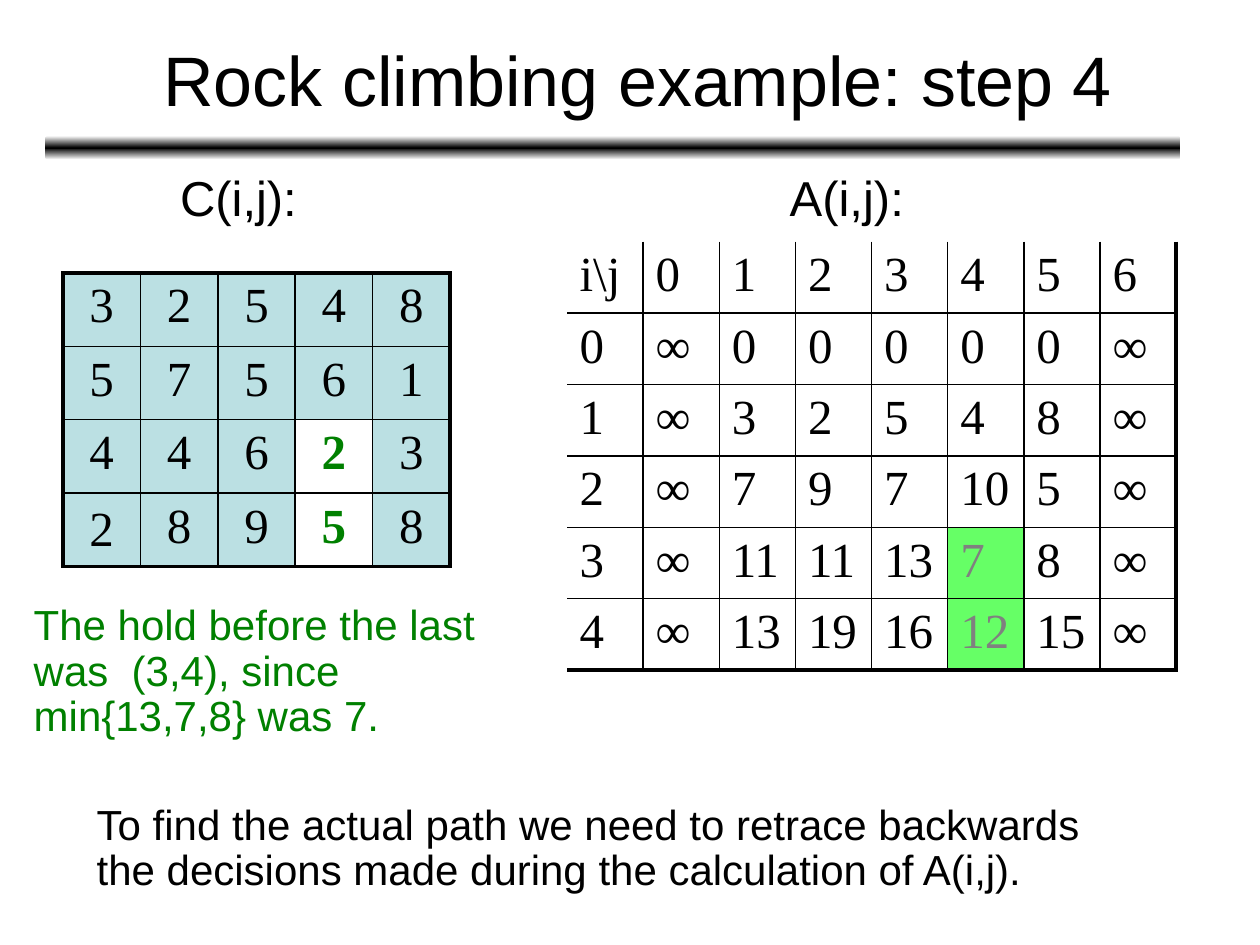
"""Build the rock climbing slide with its cost table and its accumulated table."""
from copy import deepcopy
from dataclasses import dataclass

from lxml.etree import SubElement
from pptx import Presentation
from pptx.dml.color import RGBColor
from pptx.enum.shapes import MSO_SHAPE
from pptx.enum.text import MSO_ANCHOR, PP_ALIGN
from pptx.oxml.ns import qn
from pptx.util import Cm, Pt

BLACK = RGBColor(0x00, 0x00, 0x00)
WHITE = RGBColor(0xFF, 0xFF, 0xFF)
GREEN = RGBColor(0x00, 0x80, 0x00)
GRAY = RGBColor(0x80, 0x80, 0x80)
PALE_BLUE = RGBColor(0xBB, 0xE0, 0xE3)
LIME = RGBColor(0x66, 0xFF, 0x66)
THIN, THICK, NONE = 1, 2.25, 0


@dataclass(frozen=True)
class Label:
    """A text box, measured in centimetres, with one paragraph per line."""
    text: str
    left: float
    top: float
    width: float
    height: float
    size: float = 24
    color: RGBColor = BLACK
    align: PP_ALIGN = PP_ALIGN.LEFT
    anchor: MSO_ANCHOR = MSO_ANCHOR.TOP
    spacing: float = 0.9
    wrap: bool = True


@dataclass(frozen=True)
class Grid:
    """A table of values, measured in centimetres, with marked cells."""
    rows: list[str]
    left: float
    top: float
    col_width: float
    row_height: float
    marked: set[tuple[int, int]]
    mark_fill: RGBColor
    mark_color: RGBColor
    mark_bold: bool = False
    fill: RGBColor | None = None
    align: PP_ALIGN = PP_ALIGN.LEFT
    left_top_edge: float = NONE
    centered: frozenset[tuple[int, int]] = frozenset()


LABELS = [
    Label("Rock climbing example: step 4", 2.06, 0, 21.59, 3.18, size=40,
          align=PP_ALIGN.CENTER, anchor=MSO_ANCHOR.MIDDLE, spacing=1),
    Label("C(i,j):", 3.38, 3.38, 2.9, 1.32, size=28, wrap=False),
    Label("A(i,j):", 15.67, 3.38, 2.95, 1.32, size=28, wrap=False),
    Label("The hold before the last\nwas  (3,4), since\nmin{13,7,8} was 7.",
          0.43, 12.06, 10.36, 3, color=GREEN),
    Label("To find the actual path we need to retrace backwards\n"
          "the decisions made during the calculation of A(i,j).",
          1.7, 16.08, 22.25, 2.08),
]

COSTS = Grid(
    ["3 2 5 4 8", "5 7 5 6 1", "4 4 6 2 3", "2 8 9 5 8"],
    1.27, 5.5, 1.56, 1.48, {(2, 3), (3, 3)}, WHITE, GREEN, mark_bold=True,
    fill=PALE_BLUE, align=PP_ALIGN.CENTER, left_top_edge=THICK,
    centered=frozenset({(3, 0)}))

TOTALS = Grid(
    [r"i\j 0 1 2 3 4 5 6", "0 ∞ 0 0 0 0 0 ∞", "1 ∞ 3 2 5 4 8 ∞",
     "2 ∞ 7 9 7 10 5 ∞", "3 ∞ 11 11 13 7 8 ∞", "4 ∞ 13 19 16 12 15 ∞"],
    11.43, 4.87, 1.535, 1.44, {(4, 5), (5, 5)}, LIME, GRAY)


def write(tf, text: str, *, size: float, font: str, color: RGBColor,
          align: PP_ALIGN, bold: bool = False, spacing: float = 1) -> None:
    """Fill a text frame with one formatted paragraph per line."""
    for i, line in enumerate(text.split("\n")):
        p = tf.add_paragraph() if i else tf.paragraphs[0]
        p.alignment = align
        p.line_spacing = spacing
        r = p.add_run()
        r.text = line
        r.font.size = Pt(size)
        r.font.name = font
        r.font.bold = bold
        r.font.color.rgb = color


def add_label(slide, label: Label) -> None:
    """Draw a text box."""
    s = slide.shapes.add_textbox(Cm(label.left), Cm(label.top),
                                 Cm(label.width), Cm(label.height))
    tf = s.text_frame
    tf.word_wrap = label.wrap
    tf.vertical_anchor = label.anchor
    write(tf, label.text, size=label.size, font="Arial", color=label.color,
          align=label.align, spacing=label.spacing)


def set_borders(cell, widths: list[float]) -> None:
    """Set the left, right, top and bottom border widths of a cell in points."""
    tc_pr = cell._tc.get_or_add_tcPr()
    for i, (side, width) in enumerate(zip("LRTB", widths)):
        ln = SubElement(tc_pr, qn(f"a:ln{side}"), w=str(Pt(width)))
        tc_pr.insert(i, ln)
        if width:
            fill = SubElement(ln, qn("a:solidFill"))
            SubElement(fill, qn("a:srgbClr"), val=str(BLACK))
        else:
            SubElement(ln, qn("a:noFill"))


def add_grid(slide, grid: Grid) -> None:
    """Draw a table with its borders and marked cells."""
    values = [row.split() for row in grid.rows]
    n_rows, n_cols = len(values), len(values[0])
    table = slide.shapes.add_table(
        n_rows, n_cols, Cm(grid.left), Cm(grid.top),
        Cm(grid.col_width * n_cols), Cm(grid.row_height * n_rows)).table
    table.first_row = table.horz_banding = False
    for i, row in enumerate(values):
        for j, value in enumerate(row):
            cell = table.cell(i, j)
            marked = (i, j) in grid.marked
            fill = grid.mark_fill if marked else grid.fill
            if fill is None:
                cell.fill.background()
            else:
                cell.fill.solid()
                cell.fill.fore_color.rgb = fill
            set_borders(cell, [THIN if j else grid.left_top_edge,
                               THIN if j < n_cols - 1 else THICK,
                               THIN if i else grid.left_top_edge,
                               THIN if i < n_rows - 1 else THICK])
            if (i, j) in grid.centered:
                cell.vertical_anchor = MSO_ANCHOR.MIDDLE
            write(cell.text_frame, value, size=28, font="Times New Roman",
                  color=grid.mark_color if marked else BLACK,
                  align=grid.align, bold=marked and grid.mark_bold)


def add_title_rule(slide) -> None:
    """Draw the bar under the title, fading from black to white both ways."""
    s = slide.shapes.add_shape(MSO_SHAPE.ROUNDED_RECTANGLE, Cm(0.91), Cm(2.74),
                               Cm(22.89), Cm(0.48))
    s.shadow.inherit = False
    s.line.fill.background()
    s.fill.gradient()
    s.fill.gradient_angle = 90
    stops = next(s._element.iter(qn("a:gsLst")))
    stops.append(deepcopy(stops[0]))
    for stop, position, color in zip(s.fill.gradient_stops, (0, 0.5, 1),
                                     (WHITE, BLACK, WHITE)):
        stop.position = position
        stop.color.rgb = color


def main() -> None:
    """Build and save the slide."""
    prs = Presentation()
    prs.slide_width, prs.slide_height = Cm(25.4), Cm(19.05)
    slide = prs.slides.add_slide(prs.slide_layouts[6])
    add_title_rule(slide)
    for grid in (COSTS, TOTALS):
        add_grid(slide, grid)
    for label in LABELS:
        add_label(slide, label)
    prs.save("out.pptx")


if __name__ == "__main__":
    main()
